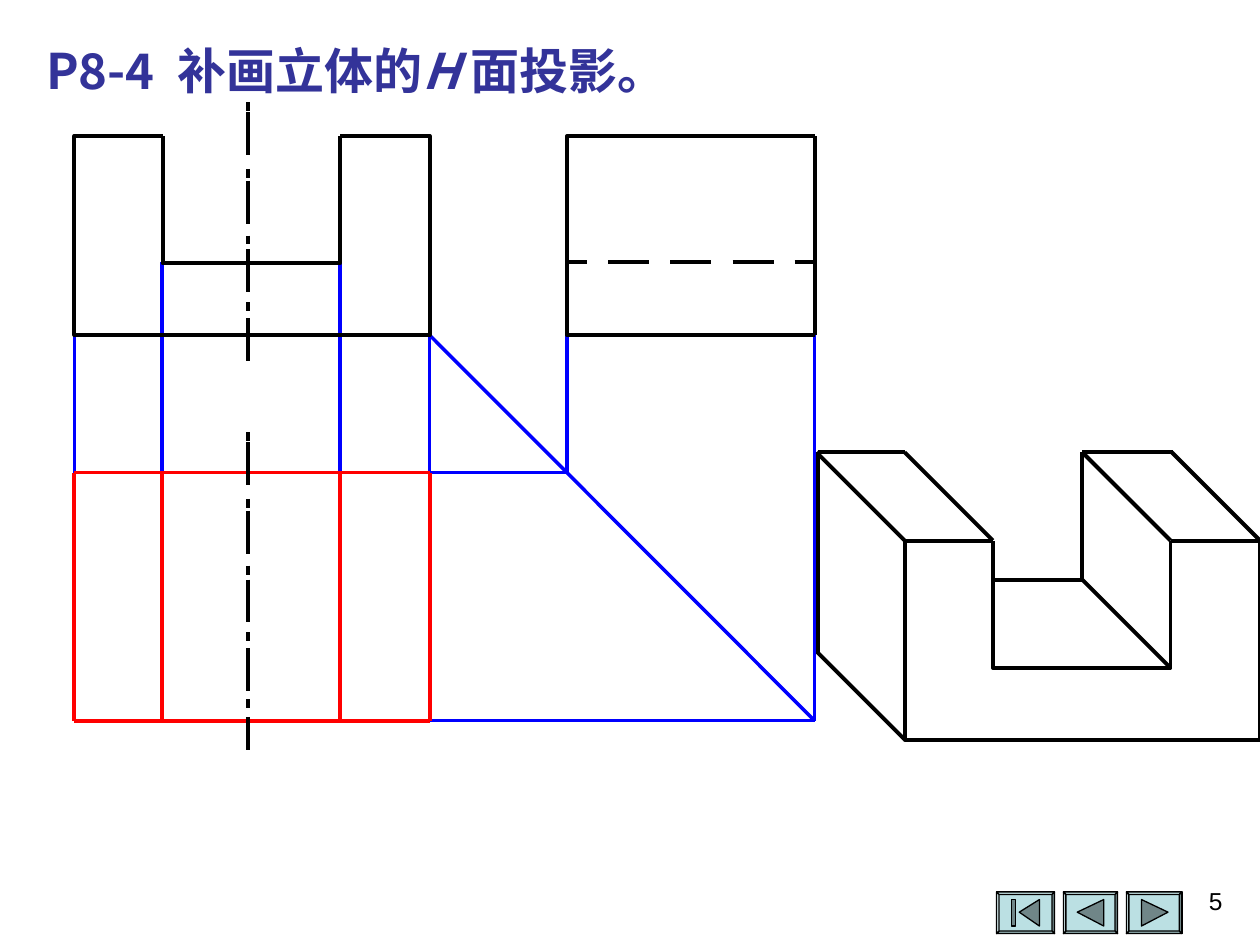
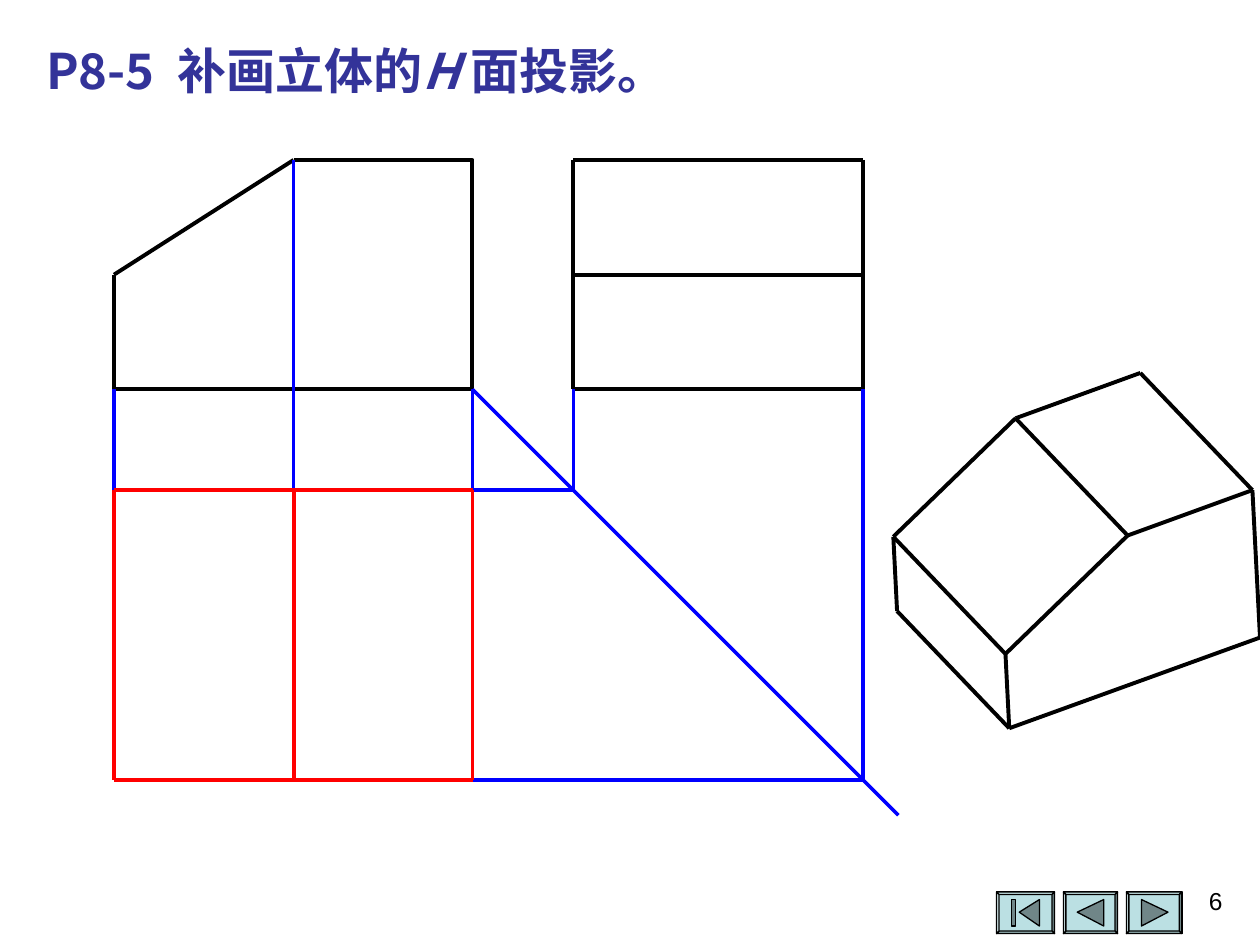
from copy import deepcopy

from lxml import etree
from pptx import Presentation
from pptx.dml.color import RGBColor
from pptx.enum.shapes import MSO_CONNECTOR as CONNECTOR
from pptx.enum.text import MSO_AUTO_SIZE as AUTO_SIZE, PP_ALIGN as ALIGN
from pptx.oxml.ns import qn
from pptx.util import Inches, Pt

COLORS = {"title": "333399", "ink": "000000", "answer": "FF0000",
          "guide": "0000FF", "button": "BBE0E3"}
WIDTHS = {"edge": 2.25, "hairline": 0, "button": 0.75}
TITLE_FONT = {"name": "Noto Sans CJK SC", "size": Pt(28), "bold": True}
NUMBER_FONT = {"name": "Arial", "size": Pt(14)}
BUTTON_TOP, BUTTON_BOTTOM, BEVEL = 7.08, 7.41, 0.02
ICON_TOP, ICON_MIDDLE, ICON_BOTTOM = 7.14, 7.24, 7.35
BEVEL_SHADES = ["norm", "lightenLess", "darken", "darkenLess", "lighten"]


def arrow(tip, base):
    return [(tip, ICON_MIDDLE), (base, ICON_TOP), (base, ICON_BOTTOM)]


def bar(left, right):
    return [(left, ICON_TOP), (right, ICON_TOP), (right, ICON_BOTTOM), (left, ICON_BOTTOM)]


BUTTONS = [
    (8.94, 9.38, [arrow(9.27, 9.06)]),
    (8.44, 8.87, [arrow(8.55, 8.76)]),
    (7.91, 8.37, [arrow(8.09, 8.25), bar(8.03, 8.06)]),
]


def dashes(start, step, length, low, high):
    """Yield the ends of equally spaced dashes, trimmed to low..high."""
    while start < high:
        yield max(start, low), min(start + length, high)
        start += step


class Drawing:
    """Holds the presentation, the current slide and the drawing style."""

    def __init__(self):
        self.deck = Presentation()
        self.deck.slide_width, self.deck.slide_height = Inches(10), Inches(7.5)
        self.slide = self.shapes = None

    def new_slide(self, exercise):
        self.slide = self.deck.slides.add_slide(self.deck.slide_layouts[6])
        self.shapes = self.slide.shapes
        for left, right, icons in BUTTONS:
            self.button(left, right, icons)
        self.title(exercise)

    def start_group(self):
        self.shapes = self.slide.shapes.add_group_shape().shapes

    def end_group(self):
        self.shapes = self.slide.shapes

    def text(self, box, runs, font, color, align=ALIGN.LEFT, tab=None):
        """Add a text box; each run is a pair of words and an italic flag."""
        frame = self.shapes.add_textbox(*map(Inches, box)).text_frame
        frame.word_wrap = True
        paragraph = frame.paragraphs[0]
        paragraph.alignment = align
        if tab:
            stops = etree.SubElement(paragraph._p.get_or_add_pPr(), qn("a:tabLst"))
            etree.SubElement(stops, qn("a:tab"), pos=str(Inches(tab)), algn="l")
        for words, italic in runs:
            run = paragraph.add_run()
            run.text = words
            for name, value in font.items():
                setattr(run.font, name, value)
            run.font.italic = italic
            run.font.color.rgb = RGBColor.from_string(COLORS[color])
            east_asian = etree.SubElement(run._r.get_or_add_rPr(), qn("a:ea"))
            east_asian.set("typeface", font["name"])
        return frame

    def title(self, exercise):
        runs = [(f"{exercise}\t补画立体的", False), ("H ", True), ("面投影。", False)]
        frame = self.text((0.27, 0.27, 9.53, 0.57), runs, TITLE_FONT, "title", tab=1.04)
        frame.auto_size = AUTO_SIZE.SHAPE_TO_FIT_TEXT

    def number(self, value):
        self.text((7.47, 6.98, 2.33, 0.52), [(value, False)], NUMBER_FONT, "ink", ALIGN.RIGHT)

    def stroke(self, line, color, width):
        line.color.rgb = RGBColor.from_string(COLORS[color])
        line.width = Pt(WIDTHS[width])

    def line(self, start, end, color="ink", width="edge"):
        edge = self.shapes.add_connector(CONNECTOR.STRAIGHT, *map(Inches, (*start, *end)))
        self.stroke(edge.line, color, width)
        etree.SubElement(edge._element.spPr, qn("a:effectLst"))

    def lines(self, pairs, color="ink", width="edge"):
        for start, end in pairs:
            self.line(start, end, color, width)

    def outline(self, contours, close=False, width="edge"):
        """Draw one freeform without fill from lists of points."""
        scaled = [[(Inches(x), Inches(y)) for x, y in points] for points in contours]
        builder = self.shapes.build_freeform(*scaled[0][0])
        for index, (first, *rest) in enumerate(scaled):
            if index:
                builder.move_to(*first)
            builder.add_line_segments(rest, close=close)
        shape = builder.convert_to_shape()
        shape.shadow.inherit = False
        shape.fill.background()
        self.stroke(shape.line, "ink", width)
        return shape

    def button(self, left, right, icons):
        outer = [(left, BUTTON_TOP), (right, BUTTON_TOP),
                 (right, BUTTON_BOTTOM), (left, BUTTON_BOTTOM)]
        inner = [(left + BEVEL, BUTTON_TOP + BEVEL), (right - BEVEL, BUTTON_TOP + BEVEL),
                 (right - BEVEL, BUTTON_BOTTOM - BEVEL), (left + BEVEL, BUTTON_BOTTOM - BEVEL)]
        sides = [[outer[i], outer[(i + 1) % 4], inner[(i + 1) % 4], inner[i]]
                 for i in range(4)]
        shape = self.outline([outer, *sides, *icons], close=True, width="button")
        shape.fill.solid()
        shape.fill.fore_color.rgb = RGBColor.from_string(COLORS["button"])
        self.shade(shape, BEVEL_SHADES + ["darken"] * len(icons))

    def shade(self, shape, shades):
        """Give each contour its own path, so that it can have its own shade."""
        whole = shape._element.spPr.find(".//" + qn("a:path"))
        steps = list(whole)
        starts = [i for i, step in enumerate(steps) if step.tag == qn("a:moveTo")]
        for first, last, tone in zip(starts, starts[1:] + [len(steps)], shades):
            part = etree.SubElement(whole.getparent(), qn("a:path"),
                                    w=whole.get("w"), h=whole.get("h"), fill=tone)
            part.extend(deepcopy(step) for step in steps[first:last])
        whole.getparent().remove(whole)

    def centre_line(self, x, top, bottom):
        """Draw a chain line of short and long dashes."""
        short = dashes(top, 0.53, 0.07, top, bottom - 0.3)
        long = dashes(top + 0.08, 0.545, 0.34, top, bottom)
        self.lines([((x, a), (x, b)) for a, b in (*short, *long)], width="hairline")

    def slotted_front(self, left, top):
        """Draw the U-shaped front face as its outside and its slot."""
        slot_left, slot_right, right = left + 0.7, left + 2.11, left + 2.82
        floor, bottom = top + 1.01, top + 1.58
        self.outline([[(slot_left, top), (left, top), (left, bottom),
                       (right, bottom), (right, top), (slot_right, top)]])
        self.outline([[(slot_right, top), (slot_right, floor),
                       (slot_left, floor), (slot_left, top)]])


def slotted_block(drawing):
    drawing.new_slide("P8-4")
    left, slot_left, slot_right, right = 0.59, 1.285, 2.7, 3.41
    top, floor, base = 1.08, 2.08, 2.66
    back, front = 3.75, 5.72
    side_left, side_right = 4.5, 6.465

    drawing.start_group()
    drawing.slotted_front(7.18, 4.29)
    drawing.outline([[(8.59, 3.59), (8.59, 4.6), (7.88, 4.6)]])
    drawing.lines([((6.49, 3.59), (7.18, 3.59)), ((6.49, 3.59), (6.49, 5.18)),
                   ((8.59, 3.59), (9.31, 3.59))])
    receding = [(7.18, 5.87), (7.18, 4.29), (7.88, 4.29), (9.29, 4.29), (10, 4.29), (9.29, 5.3)]
    drawing.lines([((x - 0.7, y - 0.7), (x, y)) for x, y in receding])
    drawing.end_group()

    drawing.lines([
        ((right, base), (side_right, front)),
        ((side_left, base), (side_left, back)), ((side_left, back), (left, back)),
        ((side_right, base), (side_right, front)),
        ((slot_right, floor), (slot_right, front)), ((right, base), (right, front)),
        ((slot_left, floor), (slot_left, front)), ((left, base), (left, front)),
        ((side_right, front), (left, front)),
    ], "guide", "hairline")
    drawing.lines([((x, back), (x, front)) for x in (left, slot_left, slot_right, right)]
                  + [((left, y), (right, y)) for y in (back, front)], "answer")

    drawing.start_group()
    drawing.slotted_front(left, top)
    drawing.outline([[(side_right, base), (side_left, base),
                      (side_left, top), (side_right, top)]])
    hidden = dashes(side_left - 0.165, 0.493, 0.325, side_left, side_right)
    drawing.lines([((a, floor), (b, floor)) for a, b in hidden], width="hairline")
    drawing.line((side_right, top), (side_right, base))
    drawing.centre_line(1.97, 0.81, 2.88)
    drawing.end_group()

    drawing.start_group()
    drawing.centre_line(1.97, 3.43, 5.95)
    drawing.end_group()
    drawing.number("5")


def sloped_block(drawing):
    drawing.new_slide("P8-5")
    left, ridge, right = 0.905, 2.33, 3.75
    top, eave, base = 1.27, 2.18, 3.09
    back, front = 3.89, 6.19
    side_left, side_right = 4.55, 6.85

    drawing.outline([[(ridge, top), (right, top), (right, base), (left, base), (left, eave)]])
    drawing.line((ridge, top), (left, eave))
    drawing.lines([((side_left, y), (side_right, y)) for y in (top, eave, base)]
                  + [((x, top), (x, base)) for x in (side_left, side_right)])

    back_profile = [(7.12, 4.85), (7.09, 4.26), (8.06, 3.32), (9.05, 2.96)]
    front_profile = [(8.01, 5.78), (7.98, 5.19), (8.95, 4.25), (9.94, 3.89)]
    drawing.start_group()
    drawing.lines(zip(back_profile, back_profile[1:]))
    drawing.lines(zip(front_profile, front_profile[1:]))
    drawing.lines(zip(back_profile, front_profile))
    drawing.lines([((8.01, 5.78), (10, 5.06)), ((10, 5.06), (9.94, 3.89))])
    drawing.end_group()

    drawing.lines([
        ((right, base), (7.13, 6.47)),
        ((side_left, base), (side_left, back)), ((side_right, base), (side_right, front)),
        ((ridge, top), (ridge, front)), ((left, base), (left, front)),
        ((side_right, front), (left, front)), ((side_left, back), (left, back)),
        ((right, base), (right, front)),
    ], "guide", "hairline")
    drawing.lines([((left, y), (right, y)) for y in (back, front)]
                  + [((x, back), (x, front)) for x in (left, ridge, right)], "answer")
    drawing.number("6")


def main():
    drawing = Drawing()
    slotted_block(drawing)
    sloped_block(drawing)
    drawing.deck.save("out.pptx")


if __name__ == "__main__":
    main()
